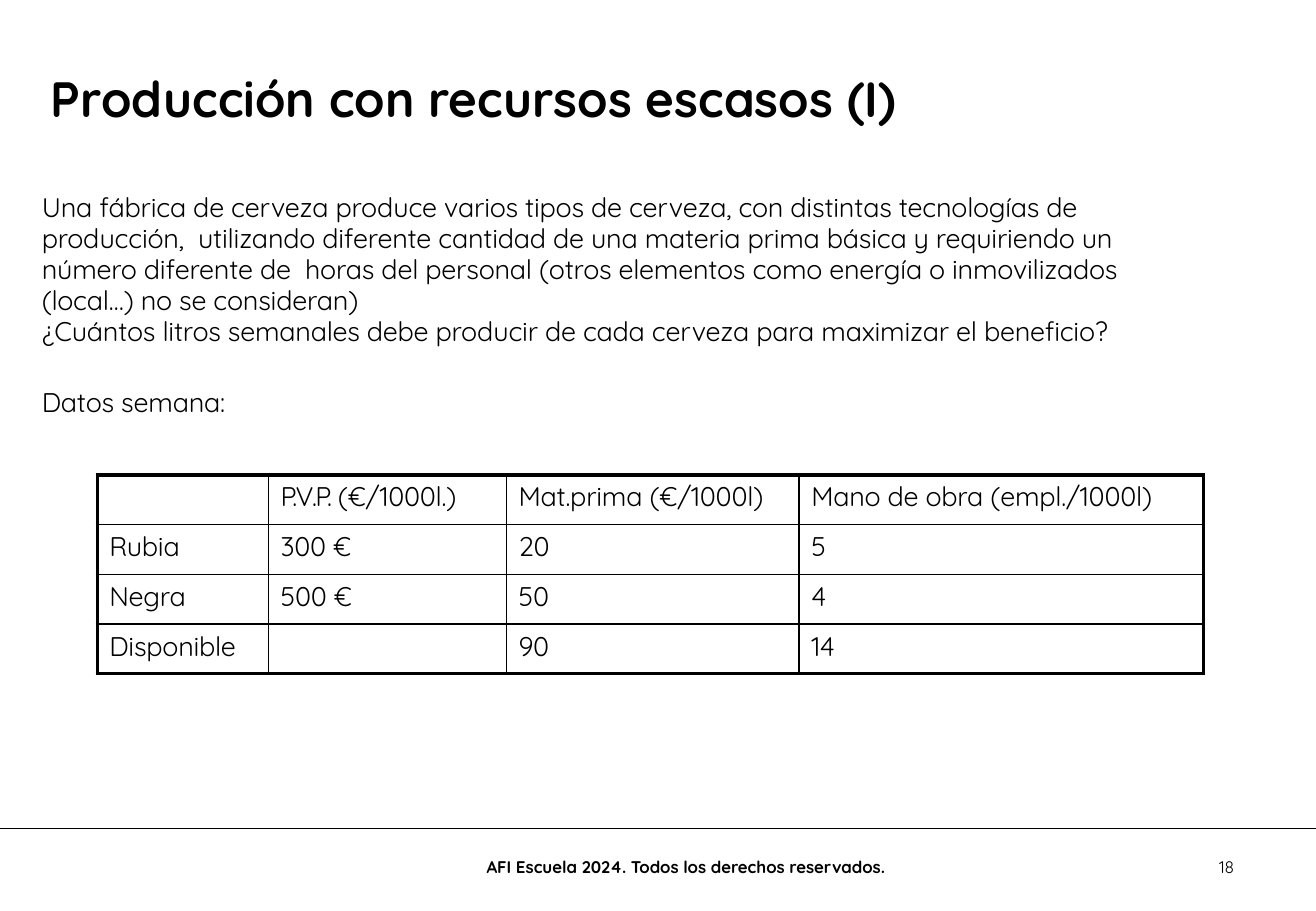
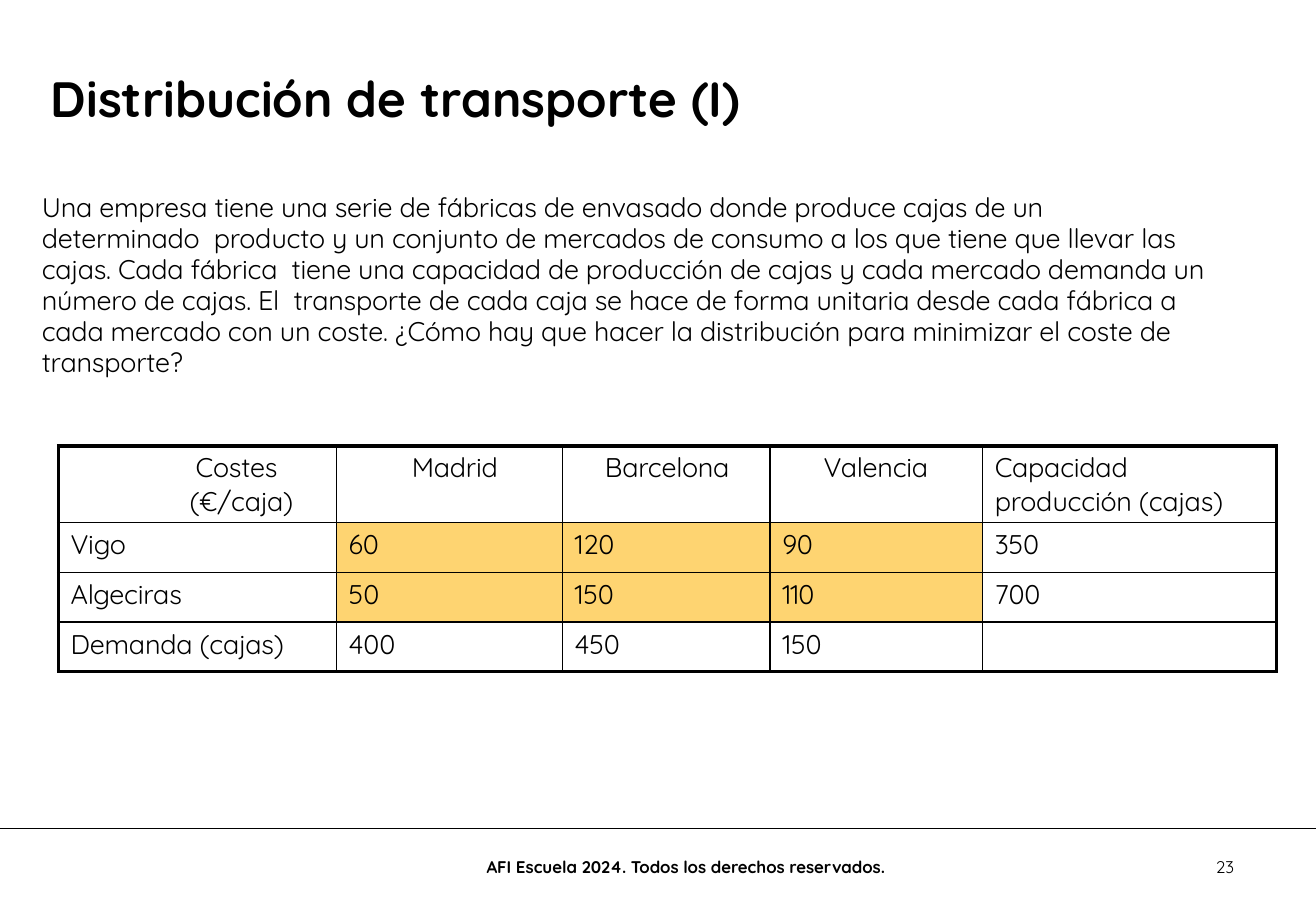
"""Build two optimisation exercise slides, each with a statement and a data table."""
from dataclasses import dataclass

from lxml import etree
from pptx import Presentation
from pptx.dml.color import RGBColor
from pptx.enum.shapes import MSO_CONNECTOR
from pptx.enum.text import MSO_ANCHOR, MSO_AUTO_SIZE, PP_ALIGN
from pptx.oxml.ns import qn
from pptx.util import Pt

STRAIGHT = MSO_CONNECTOR.STRAIGHT
TOP, MIDDLE = MSO_ANCHOR.TOP, MSO_ANCHOR.MIDDLE
LEFT, CENTER, RIGHT = PP_ALIGN.LEFT, PP_ALIGN.CENTER, PP_ALIGN.RIGHT
GROW, FIXED = MSO_AUTO_SIZE.SHAPE_TO_FIT_TEXT, MSO_AUTO_SIZE.NONE

FONT = "Quicksand"
BLACK, AMBER = "000000", "FED471"
PAGE_WIDTH, PAGE_HEIGHT = 780, 540
RULE_Y = 491
BODY_SIZE, SMALL_SIZE, TITLE_SIZE = 16, 10, 29.4
ROW_HEIGHT = 29.5
CELL_INDENT = 7.2
OUTER_BORDER, INNER_BORDER = 2.25, 1
BODY_TRACKING = -0.1
TIGHT_TRACKING = {"P.V.P. ": -0.9, "110": -0.5}
COPYRIGHT = "AFI Escuela 2024. Todos los derechos reservados."


@dataclass(frozen=True)
class DataTable:
    """Rows of cell texts, where | parts runs, with the table's geometry in points."""

    left: float
    top: float
    widths: tuple[float, ...]
    header_height: float
    header_indents: tuple[float, ...]
    rows: tuple[tuple[str, ...], ...]
    highlighted: frozenset[tuple[int, int]] = frozenset()
    corner_first_line: float = 0


@dataclass(frozen=True)
class Exercise:
    """Content of one slide; each statement entry is a text and its space before."""

    title: str
    number: str
    statement: tuple[tuple[str, float], ...]
    data: DataTable


EXERCISES = (
    Exercise(
        "Producción con recursos escasos (I)",
        "18",
        (
            ("Una fábrica de cerveza produce varios tipos de cerveza, con distintas "
             "tecnologías de producción,  utilizando diferente cantidad de una materia "
             "prima básica y requiriendo un número diferente de  horas del personal "
             "(otros elementos como energía o inmovilizados (local…) no se consideran)", 0),
            ("¿Cuántos litros semanales debe producir de cada cerveza para maximizar "
             "el beneficio?", 0),
            ("Datos semana:", 23.5),
        ),
        DataTable(
            57.6, 281.5, (101.5, 141.1, 173.5, 239.8), ROW_HEIGHT, (CELL_INDENT,) * 4,
            (
                ("", "P.V.P. |(€/1000l.)", "Mat.prima (€/1000l)", "Mano de obra (empl./1000l)"),
                ("Rubia", "300 €", "20", "5"),
                ("Negra", "500 €", "50", "4"),
                ("Disponible", "", "90", "14"),
            ),
        ),
    ),
    Exercise(
        "Distribución de transporte (I)",
        "23",
        (
            ("Una empresa tiene una serie de fábricas de envasado donde produce cajas de "
             "un determinado  producto y un conjunto de mercados de consumo a los que "
             "tiene que llevar las cajas. Cada fábrica  tiene una capacidad de producción "
             "de cajas y cada mercado demanda un número de cajas. El  transporte de cada "
             "caja se hace de forma unitaria desde cada fábrica a cada mercado con un "
             "coste. ¿Cómo hay que hacer la distribución para minimizar el coste de "
             "transporte?", 0),
        ),
        DataTable(
            34.6, 264.3, (164.9, 133.9, 123.1, 126, 174.2), 45.5,
            (77.8, 44.6, 25.2, 31.7, CELL_INDENT),
            (
                ("Costes (€/caja)", "Madrid", "Barcelona", "Valencia",
                 "Capacidad producción (cajas)"),
                ("Vigo", "60", "120", "90", "350"),
                ("Algeciras", "50", "150", "110", "700"),
                ("Demanda (cajas)", "400", "450", "150", ""),
            ),
            frozenset((row, column) for row in (1, 2) for column in (1, 2, 3)),
            3.6,
        ),
    ),
)


def rgb(value: str) -> RGBColor:
    """Turn a hex string into a colour."""
    return RGBColor.from_string(value)


def write(paragraph, text: str, *, size: float = BODY_SIZE, bold: bool = False,
          color: str = BLACK, align=LEFT, tracking: float = 0, before: float = 0,
          line_spacing: float = 1) -> None:
    """Append a formatted run to a paragraph."""
    paragraph.alignment = align
    paragraph.space_before = Pt(before)
    paragraph.line_spacing = line_spacing
    run = paragraph.add_run()
    run.text = text
    run.font.name = FONT
    run.font.size = Pt(size)
    run.font.bold = bold
    run.font.color.rgb = rgb(color)
    if tracking:
        run.font._element.set("spc", str(round(tracking * 100)))


def place(shape, left: float, top: float, width: float, height: float) -> None:
    """Position a shape in points."""
    shape.left, shape.top = Pt(left), Pt(top)
    shape.width, shape.height = Pt(width), Pt(height)


def add_frame(slide, left: float, top: float, width: float, height: float,
              anchor=TOP, fit=FIXED):
    """Add a wrapping text box and return its text frame."""
    frame = slide.shapes.add_textbox(Pt(left), Pt(top), Pt(width), Pt(height)).text_frame
    frame.word_wrap = True
    frame.vertical_anchor = anchor
    frame.auto_size = fit
    return frame


def add_title(slide, title: str) -> None:
    """Move and fill the title placeholder."""
    place(slide.shapes.title, 23, 36.7, 691, 45.4)
    frame = slide.shapes.title.text_frame
    frame.vertical_anchor = TOP
    frame.auto_size = FIXED
    write(frame.paragraphs[0], title, size=TITLE_SIZE, bold=True)


def add_footer(slide, number: str) -> None:
    """Draw the rule, the copyright line and the page number."""
    rule = slide.shapes.add_connector(STRAIGHT, 0, Pt(RULE_Y), Pt(PAGE_WIDTH), Pt(RULE_Y))
    rule.line.color.rgb = rgb(BLACK)
    rule.line.width = Pt(0.25)
    etree.SubElement(rule._element.spPr, qn("a:effectLst"))
    page = add_frame(slide, 656.6, 504, 82, 20)
    write(page.paragraphs[0], number, size=SMALL_SIZE, align=RIGHT)
    rights = add_frame(slide, 243.4, 501, 326, 26, MIDDLE)
    write(rights.paragraphs[0], COPYRIGHT, size=SMALL_SIZE, bold=True, align=CENTER)


def add_statement(slide, statement: tuple[tuple[str, float], ...]) -> None:
    """Write the problem statement."""
    frame = add_frame(slide, 23.8, 113, 690.5, 117.5, fit=GROW)
    frame.margin_left = frame.margin_top = Pt(1)
    frame.margin_right = frame.margin_bottom = 0
    for index, (text, before) in enumerate(statement):
        paragraph = frame.add_paragraph() if index else frame.paragraphs[0]
        write(paragraph, text, tracking=BODY_TRACKING, before=before, line_spacing=0.96)


def set_border(cell, side: str, width: float) -> None:
    """Add one black border to a cell."""
    properties = cell._tc.get_or_add_tcPr()
    border = etree.SubElement(properties, qn(f"a:ln{side}"), w=str(Pt(width)))
    fill = etree.SubElement(border, qn("a:solidFill"))
    etree.SubElement(fill, qn("a:srgbClr"), val=BLACK)


def add_data_table(slide, data: DataTable) -> None:
    """Draw the data table with a heavy frame and thin inner lines."""
    row_count, column_count = len(data.rows), len(data.widths)
    heights = [data.header_height] + [ROW_HEIGHT] * (row_count - 1)
    table = slide.shapes.add_table(row_count, column_count, Pt(data.left), Pt(data.top),
                                   Pt(sum(data.widths)), Pt(sum(heights))).table
    table.first_row = table.horz_banding = False
    for column, width in zip(table.columns, data.widths):
        column.width = Pt(width)
    for row, height in zip(table.rows, heights):
        row.height = Pt(height)
    for r, texts in enumerate(data.rows):
        for c, text in enumerate(texts):
            cell = table.cell(r, c)
            outer = {"L": c == 0, "R": c == column_count - 1,
                     "T": r == 0, "B": r == row_count - 1}
            for side, is_outer in outer.items():
                set_border(cell, side, OUTER_BORDER if is_outer else INNER_BORDER)
            if (r, c) in data.highlighted:
                cell.fill.solid()
                cell.fill.fore_color.rgb = rgb(AMBER)
            else:
                cell.fill.background()
            cell.margin_left = Pt(CELL_INDENT if r else data.header_indents[c])
            cell.margin_right = Pt(CELL_INDENT)
            cell.margin_top, cell.margin_bottom = Pt(3), 0
            for part in filter(None, text.split("|")):
                write(cell.text_frame.paragraphs[0], part,
                      tracking=TIGHT_TRACKING.get(part, BODY_TRACKING))
    if data.corner_first_line:
        corner = table.cell(0, 0).text_frame.paragraphs[0]
        corner._p.get_or_add_pPr().set("indent", str(Pt(data.corner_first_line)))


def main() -> None:
    """Build and save the presentation."""
    deck = Presentation()
    deck.slide_width, deck.slide_height = Pt(PAGE_WIDTH), Pt(PAGE_HEIGHT)
    for exercise in EXERCISES:
        slide = deck.slides.add_slide(deck.slide_layouts[5])
        add_title(slide, exercise.title)
        add_footer(slide, exercise.number)
        add_statement(slide, exercise.statement)
        add_data_table(slide, exercise.data)
    deck.save("out.pptx")


if __name__ == "__main__":
    main()
